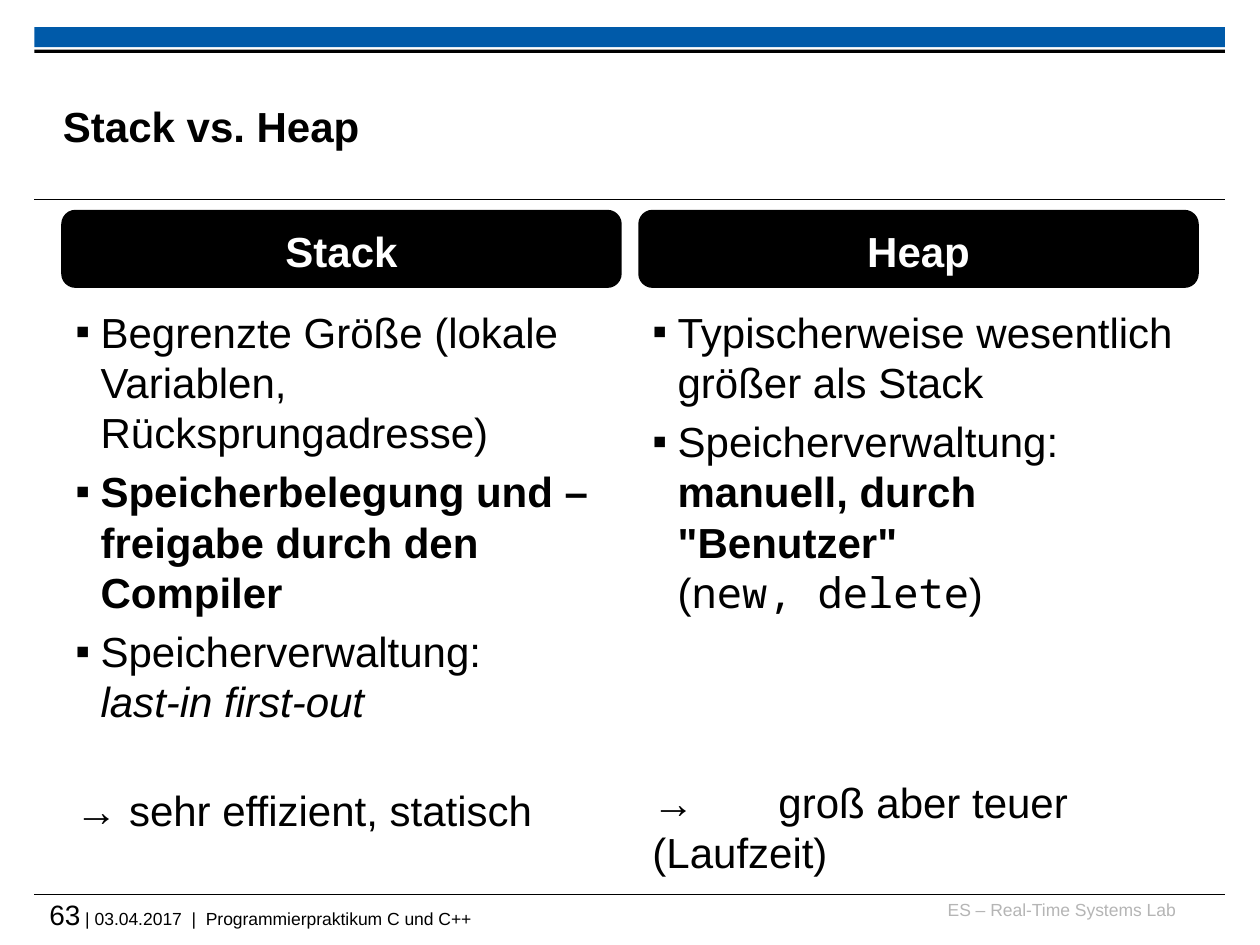
import pptx
import pptx.util
import pptx.dml.color
import pptx.enum.shapes
import pptx.enum.text
from lxml import etree

Pt = pptx.util.Pt
ALIGN = pptx.enum.text.PP_ALIGN
ANCHOR = pptx.enum.text.MSO_ANCHOR
SHAPE = pptx.enum.shapes.MSO_SHAPE

THEME = {
    "font": "Arial", "code": "Noto Sans Mono",
    "ink": "000000", "paper": "FFFFFF", "band": "005AA9", "muted": "B5B5B5",
    "body": 24, "number": 16, "footer": 10,
}
BOLD = {"bold": True}
ITALIC = {"italic": True}
CODE = {"name": THEME["code"]}
BREAK = ("\n", {})

TITLE = "Stack vs. Heap"
LAB = "ES – Real-Time Systems Lab"
PAGE_NUMBER = "63"
FOOTER = " | 03.04.2017  |  Programmierpraktikum C und C++"
COLUMNS = [
    {
        "heading": "Stack",
        "points": [
            [("Begrenzte Größe (lokale Variablen, Rücksprungadresse)", {})],
            [("Speicherbelegung und –freigabe durch den Compiler", BOLD)],
            [("Speicherverwaltung:", {}), BREAK, ("last-in first-out", ITALIC)],
        ],
        "conclusion": "→ sehr effizient, statisch",
        "gap": 33.5,
    },
    {
        "heading": "Heap",
        "points": [
            [("Typischerweise wesentlich größer als Stack", {})],
            [("Speicherverwaltung:", {}), BREAK, ('manuell, durch "Benutzer"', BOLD),
             BREAK, ("(", {}), ("new, delete", CODE), (")", {})],
        ],
        "conclusion": "→\tgroß aber teuer (Laufzeit)",
        "gap": 91,
    },
]

MARGIN, COLUMN_WIDTH, COLUMN_STEP = 36, 318.24, 329.76
RULE_LEFT, RULE_WIDTH = 19.6, 680.4
INDENT, POINT_GAP = 14.4, 4.8
CONCLUSION_TAB = 72


def color(name):
    return pptx.dml.color.RGBColor.from_string(THEME[name])


def assign(target, values):
    for key, value in values.items():
        setattr(target, key, value)


def add_panel(slide, kind, box, fill):
    panel = slide.shapes.add_shape(kind, *map(Pt, box))
    panel.shadow.inherit = False
    panel.fill.solid()
    panel.fill.fore_color.rgb = color(fill)
    panel.line.fill.background()
    return panel


def add_rule(slide, y):
    rule = slide.shapes.add_connector(
        pptx.enum.shapes.MSO_CONNECTOR.STRAIGHT,
        Pt(RULE_LEFT), Pt(y), Pt(RULE_LEFT + RULE_WIDTH), Pt(y))
    rule.line.color.rgb = color("ink")
    rule.line.width = Pt(0.6)
    etree.SubElement(rule._element.spPr, pptx.oxml.ns.qn("a:effectLst"))


def set_frame(shape, insets=(0, 0, 0, 0), anchor=ANCHOR.TOP):
    frame = shape.text_frame
    sides = ("margin_left", "margin_top", "margin_right", "margin_bottom")
    assign(frame, {"word_wrap": True, "vertical_anchor": anchor,
                   **dict(zip(sides, map(Pt, insets)))})
    return frame


def add_text_area(slide, box, **frame_values):
    return set_frame(slide.shapes.add_textbox(*map(Pt, box)), **frame_values)


def write(paragraph, runs, size="body", ink="ink", **layout):
    assign(paragraph, layout)
    for text, style in runs:
        if text == "\n":
            paragraph.add_line_break()
            continue
        run = paragraph.add_run()
        run.text = text
        assign(run.font, {"name": THEME["font"], "size": Pt(THEME[size]), **style})
        run.font.color.rgb = color(ink)


def add_bullet(paragraph):
    properties = paragraph._p.get_or_add_pPr()
    properties.set("marL", str(Pt(INDENT)))
    properties.set("indent", str(-Pt(INDENT)))
    etree.SubElement(properties, pptx.oxml.ns.qn("a:buFont"), typeface=THEME["font"])
    etree.SubElement(properties, pptx.oxml.ns.qn("a:buChar"), char="▪")


def add_tab(paragraph):
    tabs = etree.SubElement(paragraph._p.get_or_add_pPr(), pptx.oxml.ns.qn("a:tabLst"))
    etree.SubElement(tabs, pptx.oxml.ns.qn("a:tab"), pos=str(Pt(CONCLUSION_TAB)), algn="l")


def add_column(slide, left, column):
    heading = add_panel(slide, SHAPE.ROUNDED_RECTANGLE,
                        (left, 120.9, COLUMN_WIDTH, 42.6), "ink")
    heading.line.color.rgb = color("ink")
    heading.line.width = Pt(2)
    frame = set_frame(heading, (7.2, 3.6, 7.2, 4), ANCHOR.BOTTOM)
    write(frame.paragraphs[0], [(column["heading"], BOLD)], ink="paper",
          alignment=ALIGN.CENTER)

    frame = add_text_area(slide, (left, 171.4, COLUMN_WIDTH, 311),
                          insets=(7.2, 3.6, 7.2, 3.6))
    for index, runs in enumerate(column["points"]):
        paragraph = frame.add_paragraph() if index else frame.paragraphs[0]
        add_bullet(paragraph)
        write(paragraph, runs, space_before=Pt(POINT_GAP if index else 0))
    conclusion = frame.add_paragraph()
    if "\t" in column["conclusion"]:
        add_tab(conclusion)
    write(conclusion, [(column["conclusion"], {})], space_before=Pt(column["gap"]))


def main():
    deck = pptx.Presentation()
    assign(deck, {"slide_width": Pt(720), "slide_height": Pt(540)})
    slide = deck.slides.add_slide(deck.slide_layouts[6])

    add_panel(slide, SHAPE.RECTANGLE, (RULE_LEFT, 15.6, RULE_WIDTH, 11.4), "band")
    add_panel(slide, SHAPE.RECTANGLE, (RULE_LEFT, 28.4, RULE_WIDTH, 1.9), "ink")
    for y in (114.2, 511):
        add_rule(slide, y)

    lab = add_text_area(slide, (530, 513.7, 141.8, 18))
    write(lab.paragraphs[0], [(LAB, {})], "footer", "muted", alignment=ALIGN.RIGHT)
    footer = add_text_area(slide, (28.2, 512.8, 672, 23.8)).paragraphs[0]
    write(footer, [(PAGE_NUMBER, {})], "number")
    write(footer, [(FOOTER, {})], "footer")

    title = add_text_area(slide, (MARGIN, 37.8, 648, 67.7), anchor=ANCHOR.MIDDLE)
    write(title.paragraphs[0], [(TITLE, BOLD)])

    for index, column in enumerate(COLUMNS):
        add_column(slide, MARGIN + index * COLUMN_STEP, column)

    deck.save("out.pptx")


if __name__ == "__main__":
    main()
